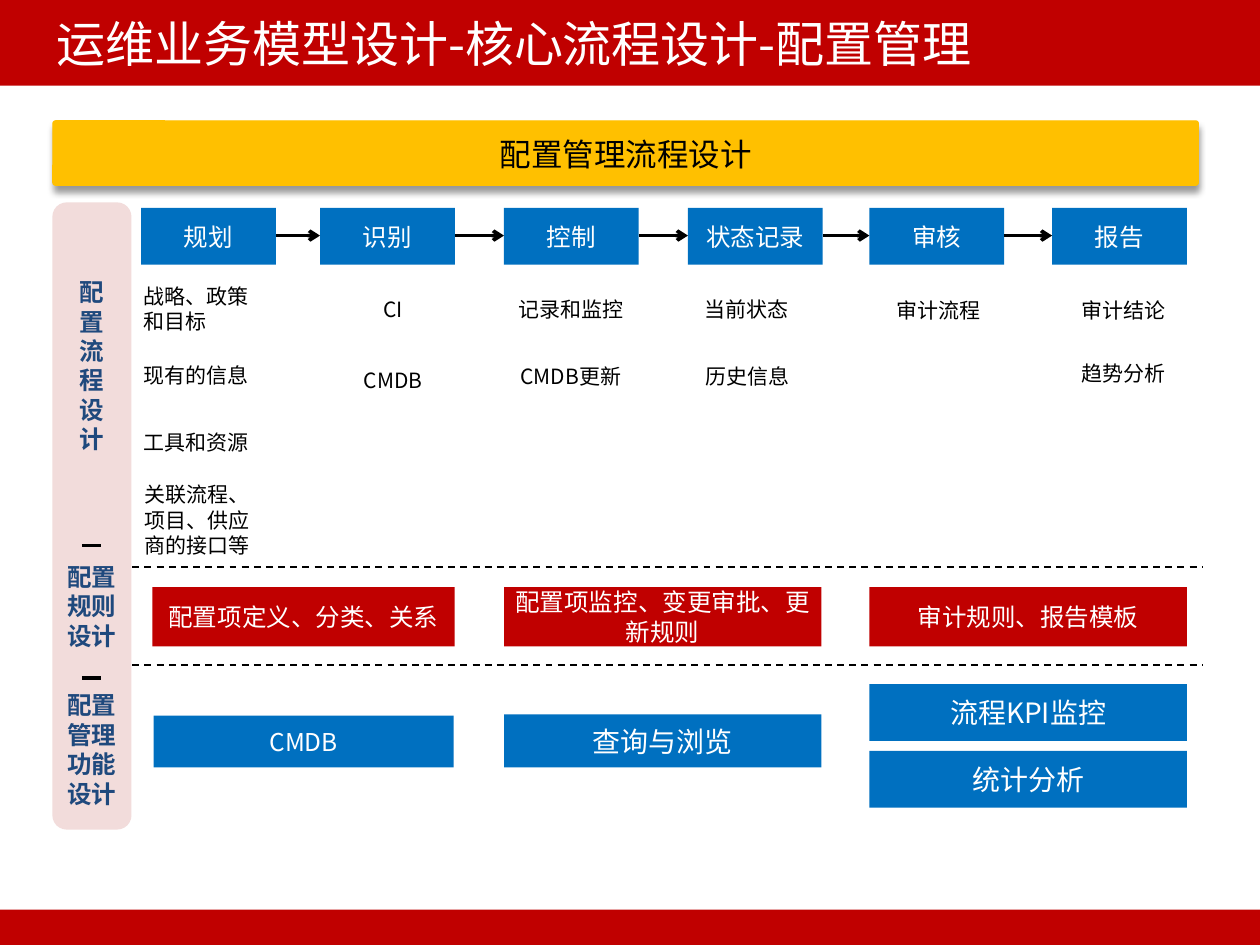
from dataclasses import dataclass
from itertools import pairwise

from lxml import etree
from pptx import Presentation
from pptx.dml.color import RGBColor
from pptx.enum import dml, shapes, text
from pptx.oxml import ns, parse_xml
from pptx.util import Inches, Pt

FONT = "Noto Sans CJK SC"
RED, BLUE, AMBER, PINK, NAVY = "C00000", "0070C0", "FFC000", "F2DCDB", "1F497D"
WHITE, BLACK = "FFFFFF", "000000"
RECT = shapes.MSO_SHAPE.RECTANGLE
ROUND = shapes.MSO_SHAPE.ROUNDED_RECTANGLE
LEFT, CENTER = text.PP_ALIGN.LEFT, text.PP_ALIGN.CENTER
MIDDLE, TOP = text.MSO_ANCHOR.MIDDLE, text.MSO_ANCHOR.TOP


@dataclass
class Box:
    left: float
    top: float
    width: float
    height: float
    words: str = ""
    fill: str = BLUE
    size: float = 14
    color: str = WHITE
    align: text.PP_ALIGN = CENTER
    anchor: text.MSO_ANCHOR = MIDDLE
    side_inset: float = 0.1
    bold: bool = False
    kind: shapes.MSO_SHAPE = RECT
    line: str = ""
    line_width: float = 0.75

    @property
    def place(self):
        return [Inches(v) for v in (self.left, self.top, self.width, self.height)]


def rgb(value: str) -> RGBColor:
    return RGBColor.from_string(value)


def write(shape, box: Box) -> None:
    frame = shape.text_frame
    frame_format = {
        "word_wrap": True,
        "vertical_anchor": box.anchor,
        "margin_left": Inches(box.side_inset),
        "margin_right": Inches(box.side_inset),
        "margin_top": Inches(0.05),
        "margin_bottom": Inches(0.05),
    }
    for name, value in frame_format.items():
        setattr(frame, name, value)
    paragraph = frame.paragraphs[0]
    paragraph.alignment = box.align
    run = paragraph.add_run()
    run.text = box.words
    for name, value in {"name": FONT, "size": Pt(box.size), "bold": box.bold}.items():
        setattr(run.font, name, value)
    run.font.color.rgb = rgb(box.color)
    latin = run.font.element if hasattr(run.font, "element") else run._r.get_or_add_rPr()
    etree.SubElement(latin, ns.qn("a:ea"), typeface=FONT)


def draw_box(slide, box: Box):
    shape = slide.shapes.add_shape(box.kind, *box.place)
    shape.shadow.inherit = False
    shape.fill.solid()
    shape.fill.fore_color.rgb = rgb(box.fill)
    if box.line:
        shape.line.color.rgb = rgb(box.line)
        shape.line.width = Pt(box.line_width)
    else:
        shape.line.fill.background()
    if box.words:
        write(shape, box)
    return shape


def draw_line(slide, start: float, end: float, y: float, width: float = 2,
              dashed: bool = False, arrow: bool = False) -> None:
    line = slide.shapes.add_connector(
        shapes.MSO_CONNECTOR.STRAIGHT, Inches(start), Inches(y), Inches(end), Inches(y))
    line.line.color.rgb = rgb(BLACK)
    line.line.width = Pt(width)
    if dashed:
        line.line.dash_style = dml.MSO_LINE.DASH
    properties = line.element.spPr
    if arrow:
        etree.SubElement(properties.find(ns.qn("a:ln")), ns.qn("a:tailEnd"), type="arrow")
    etree.SubElement(properties, ns.qn("a:effectLst"))


def drop_shadow(shape) -> None:
    properties = shape.element.spPr
    properties.remove(properties.find(ns.qn("a:effectLst")))
    properties.append(parse_xml(
        f'<a:effectLst {ns.nsdecls("a")}>'
        f'<a:outerShdw blurRad="{Pt(4)}" dist="{Pt(3)}" dir="5400000" rotWithShape="0">'
        f'<a:srgbClr val="{BLACK}"><a:alpha val="40000"/></a:srgbClr>'
        '</a:outerShdw></a:effectLst>'))


def note(left: float, top: float, width: float, words: str,
         height: float = 0.37, align: text.PP_ALIGN = CENTER) -> Box:
    return Box(left, top, width, height, words, WHITE, 12, BLACK, align,
               kind=ROUND, line=WHITE)


STEP_TOP, STEP_WIDTH, STEP_HEIGHT = 1.65, 1.07, 0.45
STEPS = {1.12: "规划", 2.54: "识别", 4: "控制", 5.46: "状态记录", 6.9: "审核", 8.35: "报告"}

NOTES = [
    note(1.02, 2.27, 1.22, "战略、政策和目标", 0.36, LEFT),
    note(1.02, 2.8, 1.22, "现有的信息", 0.36, LEFT),
    note(1.02, 3.33, 1.22, "工具和资源", 0.36, LEFT),
    note(1.02, 3.83, 1.22, "关联流程、项目、供应商的接口等", 0.59, LEFT),
    note(2.63, 2.27, 0.98, "CI"),
    note(2.63, 2.83, 0.98, "CMDB"),
    note(3.93, 2.27, 1.2, "记录和监控"),
    note(3.93, 2.8, 1.2, "CMDB更新"),
    note(5.27, 2.27, 1.31, "当前状态"),
    note(5.28, 2.8, 1.31, "历史信息"),
    note(6.72, 2.28, 1.45, "审计流程", 0.36),
    note(8.43, 2.28, 0.98, "审计结论", 0.36),
    note(8.43, 2.78, 0.98, "趋势分析", 0.36),
]

RULES = [
    Box(left, 4.66, width, 0.47, words, RED, side_inset=0.02)
    for left, width, words in [
        (1.21, 2.4, "配置项定义、分类、关系"),
        (4, 2.52, "配置项监控、变更审批、更新规则"),
        (6.9, 2.52, "审计规则、报告模板"),
    ]
]

FUNCTIONS = [
    Box(1.22, 5.68, 2.38, 0.41, "CMDB"),
    Box(4, 5.67, 2.52, 0.42, "查询与浏览", size=16),
    Box(6.9, 5.43, 2.52, 0.45, "流程KPI监控", size=16),
    Box(6.9, 5.96, 2.52, 0.45, "统计分析", size=16),
]

STAGE_LABELS = [
    Box(*place, words, color=NAVY, anchor=TOP, bold=True)
    for place, words in [
        ((0.5, 2.15, 0.45, 1.51), "配置流程设计"),
        ((0.43, 4.41, 0.6, 0.81), "配置规则设计"),
        ((0.43, 5.43, 0.6, 1.04), "配置管理功能设计"),
    ]
]


def main() -> None:
    deck = Presentation()
    deck.slide_width, deck.slide_height = Inches(10), Inches(7.5)
    slide = deck.slides.add_slide(deck.slide_layouts[5])

    for top, height in [(0, 0.68), (7.22, 0.28)]:
        draw_box(slide, Box(0, top, 10, height, fill=RED))

    heading = Box(0.35, 0, 9.29, 0.68, "运维业务模型设计-核心流程设计-配置管理",
                  size=28, align=LEFT)
    title = slide.shapes.title
    title.left, title.top, title.width, title.height = heading.place
    write(title, heading)
    title.element.getparent().append(title.element)  # in front of the red band

    steps = [Box(left, STEP_TOP, STEP_WIDTH, STEP_HEIGHT, words)
             for left, words in STEPS.items()]
    for box in steps + NOTES + RULES + FUNCTIONS:
        draw_box(slide, box)
    for step, following in pairwise(steps):
        draw_line(slide, step.left + STEP_WIDTH, following.left, 1.87, arrow=True)

    draw_box(slide, Box(0.43, 1.62, 0.6, 4.95, fill=PINK, kind=ROUND,
                        line=PINK, line_width=2))
    for label in STAGE_LABELS:
        write(slide.shapes.add_textbox(*label.place), label)
    for y in (4.33, 5.38):
        draw_line(slide, 0.65, 0.8, y)
    for y in (4.5, 5.28):
        draw_line(slide, 1.05, 9.54, y, width=1, dashed=True)

    banner = draw_box(slide, Box(0.42, 0.96, 9.09, 0.51, "配置管理流程设计", AMBER, 18,
                                 BLACK, anchor=TOP, side_inset=0, kind=ROUND, line=AMBER))
    banner.adjustments[0] = 0.04
    banner.text_frame.paragraphs[0].line_spacing = 1.2
    drop_shadow(banner)

    deck.save("out.pptx")


if __name__ == "__main__":
    main()
